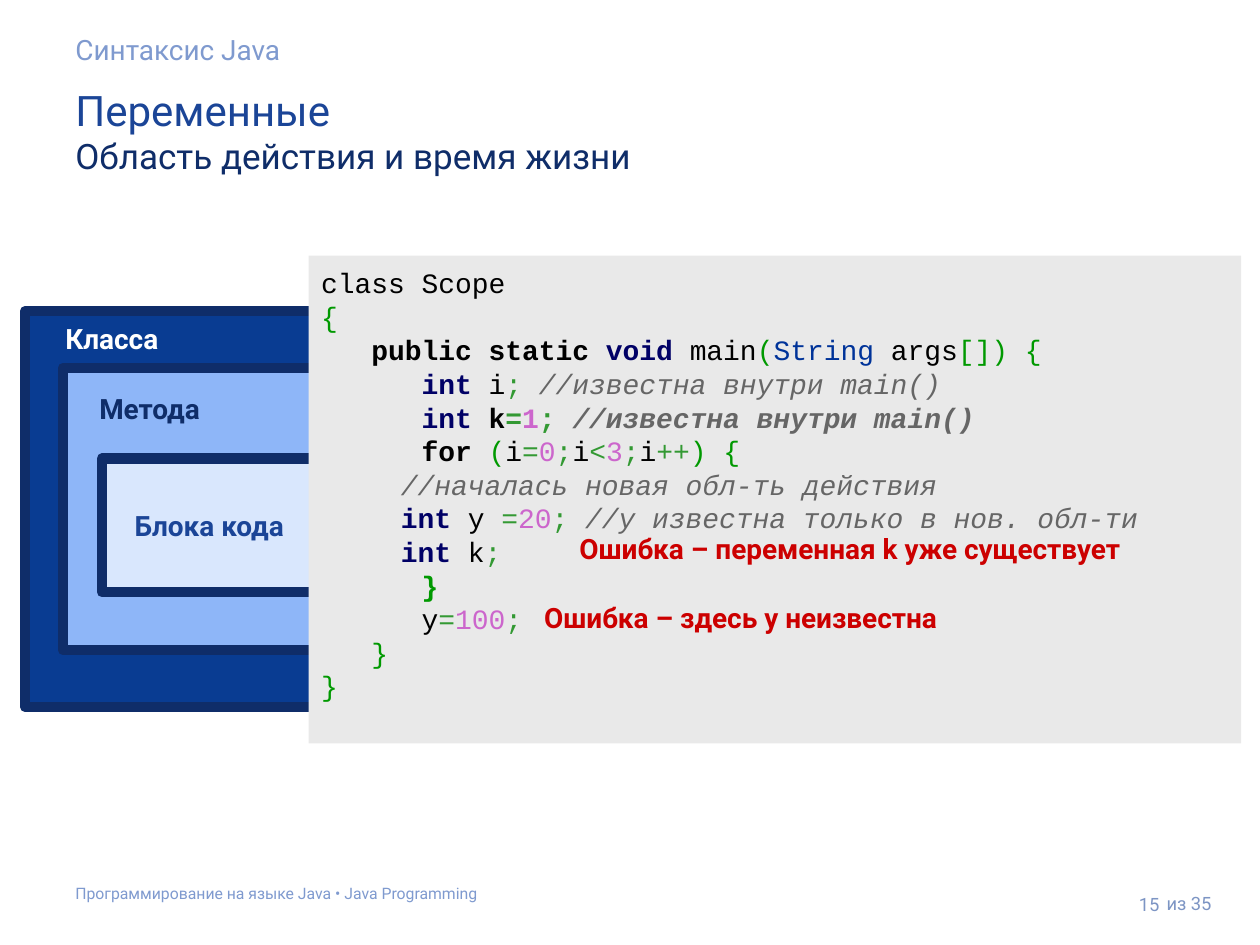
"""Build the slide on the scope and lifetime of Java variables."""
from pptx import Presentation
from pptx.dml.color import RGBColor
from pptx.enum.shapes import MSO_SHAPE
from pptx.enum.text import MSO_ANCHOR as ANCHOR, PP_ALIGN as ALIGN
from pptx.util import Inches, Pt

THEME = {
    "font": "Roboto", "mono": "Courier New",
    "size": {"title": 24, "subtitle": 20, "body": 16, "page": 10.5, "footer": 9},
    "color": {
        "title": "1B4597", "dark": "0F2D69", "pale": "7F9ACF", "page": "7D95C4",
        "class": "093C92", "method": "8EB6F8", "block": "D9E7FD", "white": "FFFFFF",
        "error": "CC0000", "panel": "E9E9E9", "plain": "000000", "bracket": "009900",
        "type": "000066", "library": "003399", "op": "339933", "number": "CC66CC",
        "comment": "666666",
    },
}


def add_run(p, text, color, size="body", name=THEME["font"], bold=False, italic=False):
    r = p.add_run()
    r.text = text
    values = {"name": name, "size": Pt(THEME["size"][size]), "bold": bold, "italic": italic}
    for key, value in values.items():
        setattr(r.font, key, value)
    r.font.color.rgb = RGBColor.from_string(THEME["color"][color])


def add_rect(s, box, fill, line=None):
    sp = s.shapes.add_shape(MSO_SHAPE.RECTANGLE, *map(Inches, box))
    sp.shadow.inherit = False
    sp.fill.solid()
    sp.fill.fore_color.rgb = RGBColor.from_string(THEME["color"][fill])
    if line:
        sp.line.color.rgb = RGBColor.from_string(THEME["color"][line])
        sp.line.width = Pt(6)
    else:
        sp.line.fill.background()
    return sp


prs = Presentation()
prs.slide_width, prs.slide_height = Inches(10), Inches(7.5)
s = prs.slides.add_slide(prs.slide_layouts[6])

for box, fill in [
    ((0.2, 2.47, 4.22, 3.14), "class"),
    ((0.5, 2.92, 4.09, 2.24), "method"),
    ((0.81, 3.64, 3.96, 1.06), "block"),
]:
    add_rect(s, box, fill, "dark")

CODE = [
    [("сlass Scope", "plain")],
    [("{", "bracket")],
    [("   public static ", "plain*"), ("void ", "type*"), ("main", "plain"), ("(", "bracket"),
     ("String ", "library"), ("args", "plain"), ("[]) {", "bracket")],
    [("      int", "type*"), (" i", "plain"), ("; ", "op"), ("//известна внутри main()", "comment")],
    [("      int", "type*"), (" k", "plain*"), ("=", "op*"), ("1", "number*"), ("; ", "op*"),
     ("//известна внутри main()", "comment*")],
    [("      for ", "plain*"), ("(", "bracket"), ("i", "plain"), ("=", "op"), ("0", "number"),
     (";", "op"), ("i", "plain"), ("<", "op"), ("3", "number"), (";", "op"), ("i", "plain"),
     ("++", "op"), (") {", "bracket")],
    [("\t //началась новая обл-ть действия", "comment")],
    [("\t int", "type*"), (" y ", "plain"), ("=", "op"), ("20", "number"), ("; ", "op"),
     ("//у известна только в нов. обл-ти", "comment")],
    [("\t int", "type*"), (" k", "plain"), (";", "op")],
    [("      }", "bracket*")],
    [("      y", "plain"), ("=", "op"), ("100", "number"), (";", "op")],
    [("   }", "bracket")],
    [("}", "bracket")],
]
panel = add_rect(s, (2.45, 2.03, 7.4, 3.87), "panel")
tf = panel.text_frame
for key, value in {"word_wrap": True, "vertical_anchor": ANCHOR.TOP, "margin_top": Inches(0.08)}.items():
    setattr(tf, key, value)
for i, tokens in enumerate(CODE):
    p = tf.add_paragraph() if i else tf.paragraphs[0]
    p.alignment = ALIGN.LEFT
    for text, style in tokens:
        color = style.rstrip("*")
        add_run(p, text, color, name=THEME["mono"], bold=style.endswith("*"), italic=color == "comment")

TOP, MIDDLE, LEFT, RIGHT = ANCHOR.TOP, ANCHOR.MIDDLE, ALIGN.LEFT, ALIGN.RIGHT
for box, inset, anchor, align, bold, lines in [
    ((0.42, 2.5, 3.47, 0.37), 0.05, TOP, LEFT, True, [("Класса", "white", "body")]),
    ((0.69, 3.06, 2.1, 0.37), 0.05, TOP, LEFT, True, [("Метода", "dark", "body")]),
    ((0.97, 3.99, 2.05, 0.37), 0.05, TOP, LEFT, True, [("Блока кода", "title", "body")]),
    ((4.5, 4.17, 5.4, 0.36), 0.05, TOP, LEFT, True,
     [("Ошибка – переменная k уже существует", "error", "body")]),
    ((4.22, 4.72, 5.4, 0.36), 0.05, TOP, LEFT, True,
     [("Ошибка – здесь y неизвестна", "error", "body")]),
    ((0.5, 0.16, 9.19, 0.47), 0.1, TOP, LEFT, False, [("Синтаксис Java", "pale", "body")]),
    ((0.5, 0.57, 9.19, 0.94), 0.1, TOP, LEFT, False,
     [("Переменные", "title", "title"), ("Область действия и время жизни", "dark", "subtitle")]),
    ((0.5, 6.94, 9, 0.35), 0.1, TOP, LEFT, False,
     [("Программирование на языке Java • Java Programming", "pale", "footer")]),
    ((8.7, 6.89, 0.6, 0.57), 0.1, MIDDLE, RIGHT, False, [("15", "page", "page")]),
    ((9.16, 6.97, 0.69, 0.4), 0.05, MIDDLE, LEFT, False, [("из 35", "page", "page")]),
]:
    tf = s.shapes.add_textbox(*map(Inches, box)).text_frame
    values = {"word_wrap": True, "vertical_anchor": anchor,
              "margin_top": Inches(inset), "margin_bottom": Inches(inset)}
    for key, value in values.items():
        setattr(tf, key, value)
    for i, (text, color, size) in enumerate(lines):
        p = tf.add_paragraph() if i else tf.paragraphs[0]
        p.alignment = align
        add_run(p, text, color, size, bold=bold)

prs.save("out.pptx")
